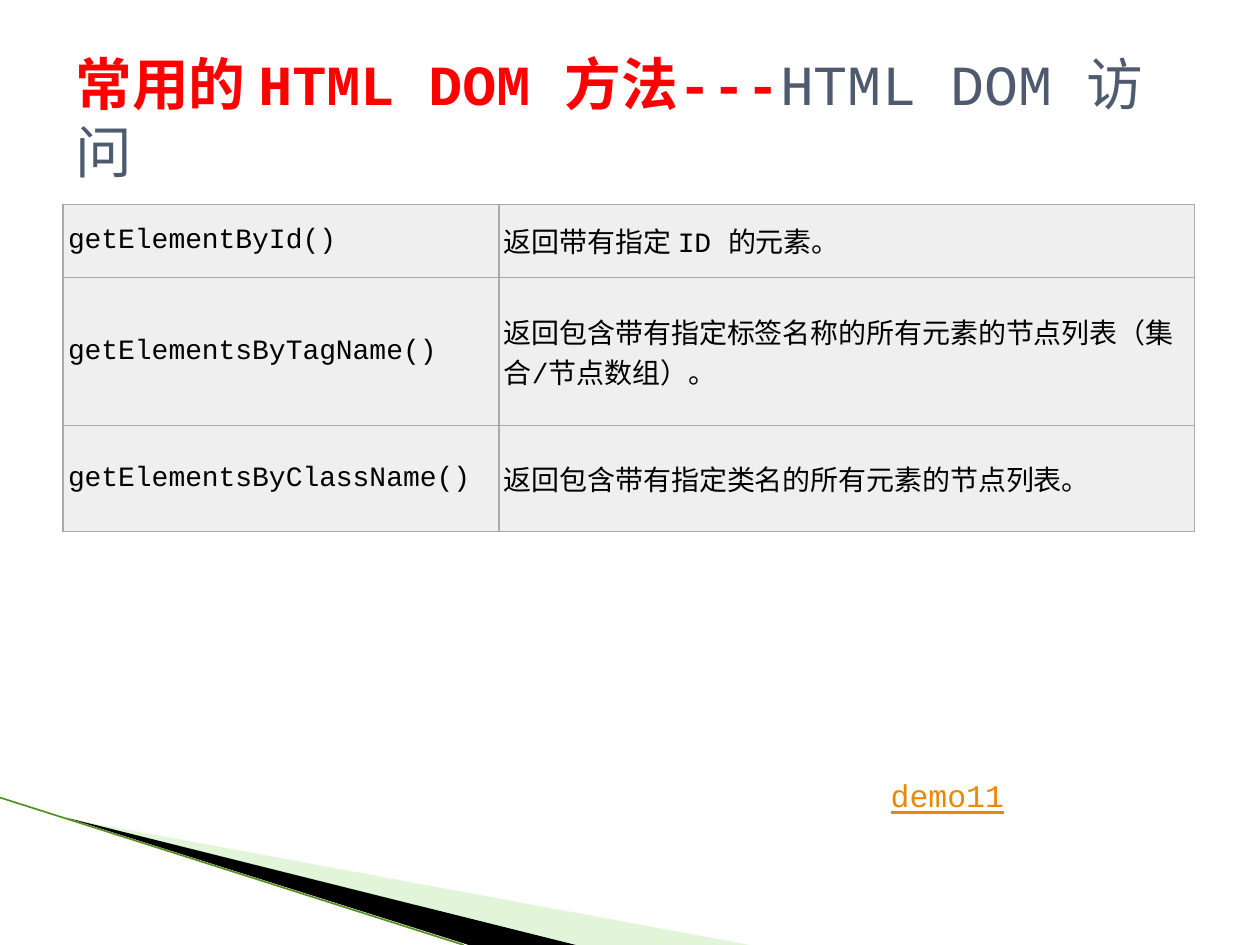
from lxml.etree import SubElement
from pptx import Presentation
from pptx.dml.color import RGBColor
from pptx.enum.lang import MSO_LANGUAGE_ID
from pptx.enum.shapes import MSO_CONNECTOR
from pptx.enum.text import MSO_ANCHOR
from pptx.oxml.ns import qn
from pptx.util import Inches, Pt

WIDTH, HEIGHT = Inches(10), Inches(7.5)
COL, ROW = WIDTH / 10, HEIGHT / 7.5
FONT = "Courier New"

RED = RGBColor(0xFF, 0x00, 0x00)
SLATE = RGBColor(0x4E, 0x5B, 0x6F)
BLACK = RGBColor(0x00, 0x00, 0x00)
ORANGE = RGBColor(0xEB, 0x88, 0x03)
CELL_GRAY = RGBColor(0xEF, 0xEF, 0xEF)
BORDER_GRAY = RGBColor(0xAA, 0xAA, 0xAA)
PALE_GREEN = RGBColor(0xB8, 0xE7, 0xA1)
EDGE_GREEN = RGBColor(0x55, 0x90, 0x1F)

METHODS = [
    ("getElementById()", "返回带有指定 ID 的元素。"),
    ("getElementsByTagName()", "返回包含带有指定标签名称的所有元素的节点列表（集合/节点数组）。"),
    ("getElementsByClassName()", "返回包含带有指定类名的所有元素的节点列表。"),
]
METHOD_COLS = (3.46, 5.52)
METHOD_ROWS = (0.58, 1.18, 0.84)


def place(left, top, width, height):
    return round(left * COL), round(top * ROW), round(width * COL), round(height * ROW)


def add_run(paragraph, wording, size, color, bold=False, underline=False):
    run = paragraph.add_run()
    run.text = wording
    font = run.font
    font.name, font.size, font.bold, font.underline = FONT, Pt(size), bold, underline
    font.color.rgb = color
    font.language_id = MSO_LANGUAGE_ID.SIMPLIFIED_CHINESE


def add_wedge(slide, box, corners, color, opacity=100):
    left, top, width, height = box
    points = [(round(left + x * width), round(top + y * height)) for x, y in corners]
    builder = slide.shapes.build_freeform(*points[0])
    builder.add_line_segments(points[1:], close=True)
    wedge = builder.convert_to_shape()
    wedge.shadow.inherit = False
    wedge.line.fill.background()
    wedge.fill.solid()
    wedge.fill.fore_color.rgb = color
    if opacity < 100:
        tint = wedge.fill._xPr.find(qn("a:solidFill"))[0]
        SubElement(tint, qn("a:alpha"), val=str(opacity * 1000))


def add_corner(slide, box):
    left, top, width, height = box
    add_wedge(slide, place(0.55, 6.5, 5.4, 1), [(0, 0), (1, 1), (0.74, 1)], PALE_GREEN, 40)
    add_wedge(slide, place(0.53, 6.49, 4.04, 1.01), [(0, 0), (1, 1), (0.79, 1)], BLACK)
    edge = slide.shapes.add_connector(
        MSO_CONNECTOR.STRAIGHT, left, top, left + width, top + height)
    edge.line.color.rgb = EDGE_GREEN
    edge.line.width = Pt(0.95)
    SubElement(edge._element.spPr, qn("a:effectLst"))


def add_borders(cell):
    properties = cell._tc.get_or_add_tcPr()
    for side in ("lnL", "lnR", "lnT", "lnB"):
        border = SubElement(properties, qn(f"a:{side}"), w=str(Pt(0.75)))
        fill = SubElement(border, qn("a:solidFill"))
        SubElement(fill, qn("a:srgbClr"), val=str(BORDER_GRAY))


def add_methods(slide, box):
    table = slide.shapes.add_table(len(METHODS), len(METHOD_COLS), *box).table
    table.first_row = table.horz_banding = False
    for column, share in zip(table.columns, METHOD_COLS):
        column.width = round(box[2] * share / sum(METHOD_COLS))
    for row, share, wordings in zip(table.rows, METHOD_ROWS, METHODS):
        row.height = round(box[3] * share / sum(METHOD_ROWS))
        for cell, wording in zip(row.cells, wordings):
            add_borders(cell)
            cell.fill.solid()
            cell.fill.fore_color.rgb = CELL_GRAY
            cell.vertical_anchor = MSO_ANCHOR.MIDDLE
            cell.margin_left = cell.margin_top = cell.margin_bottom = Inches(0.04)
            cell.margin_right = Inches(0.11)
            add_run(cell.text_frame.paragraphs[0], wording, 16, BLACK)


def add_title(slide, box):
    frame = slide.shapes.add_textbox(*box).text_frame
    frame.word_wrap = True
    frame.vertical_anchor = MSO_ANCHOR.MIDDLE
    heading = frame.paragraphs[0]
    add_run(heading, "常用的 HTML DOM 方法---", 32.4, RED, bold=True)
    add_run(heading, "HTML DOM 访问", 32.4, SLATE)


def add_demo(slide, box):
    frame = slide.shapes.add_textbox(*box).text_frame
    frame.word_wrap = True
    add_run(frame.paragraphs[0], "demo11", 18, ORANGE, underline=True)


def main():
    deck = Presentation()
    deck.slide_width, deck.slide_height = WIDTH, HEIGHT
    slide = deck.slides.add_slide(deck.slide_layouts[6])
    add_corner(slide, place(0, 6.33, 3.68, 1.17))
    add_methods(slide, place(0.5, 1.62, 8.98, 2.6))
    add_title(slide, place(0.5, 0.3, 9, 1.25))
    add_demo(slide, place(6.97, 6.11, 1.65, 0.4))
    deck.save("out.pptx")


if __name__ == "__main__":
    main()
